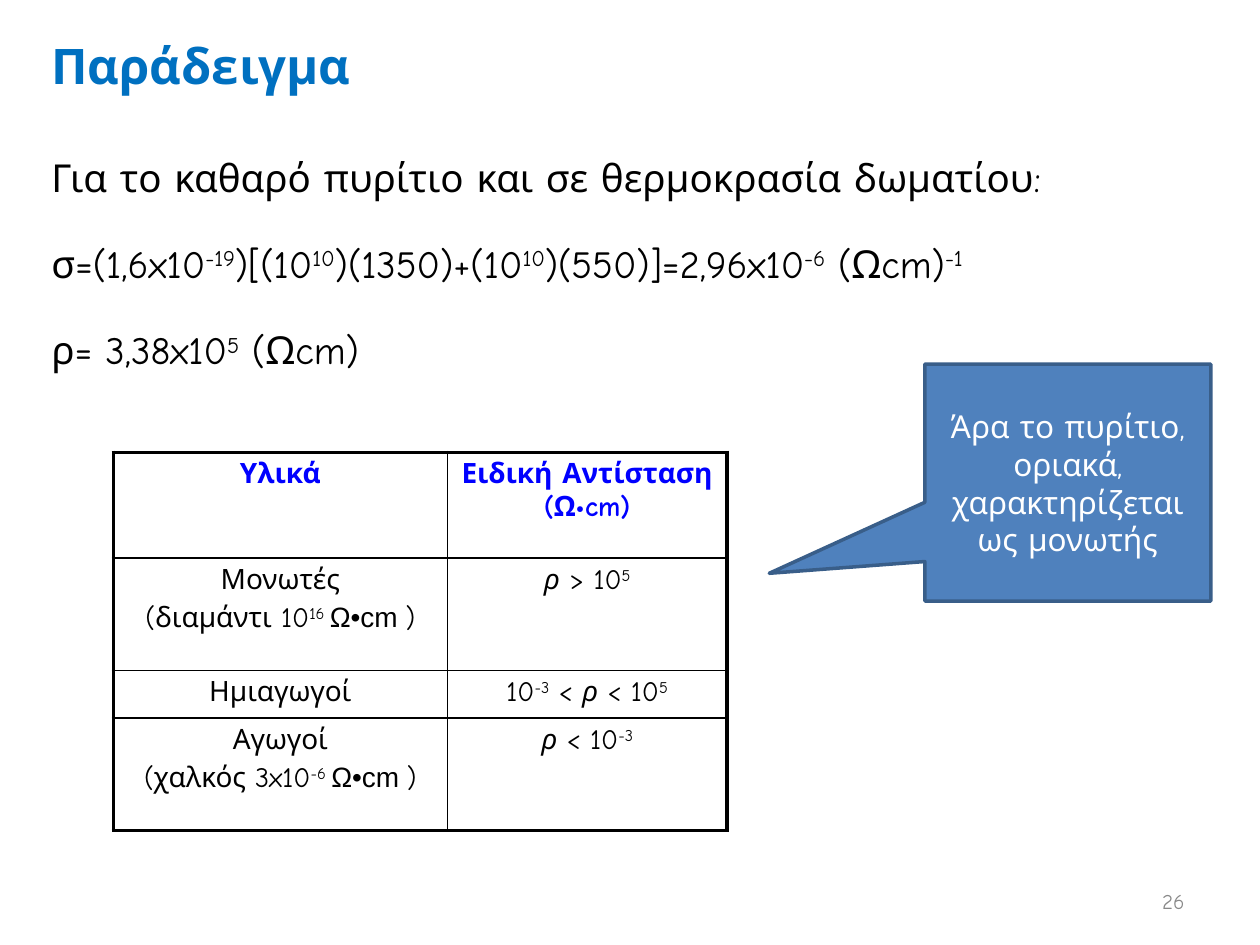
from lxml import etree
from pptx import Presentation, util as u
from pptx.dml.color import RGBColor
from pptx.enum import shapes, text
from pptx.oxml.ns import qn

FONT = "Comic Neue"
BLACK, WHITE, HEADER_BLUE = "000000", "FFFFFF", "0000FF"
RHO = ("ρ", {"italic": True})
UNIT = ("Ω•cm ", {"name": "Arial"})
LEFT, CENTER, RIGHT = text.PP_ALIGN.LEFT, text.PP_ALIGN.CENTER, text.PP_ALIGN.RIGHT

BODY = [
    ["Για το καθαρό πυρίτιο και σε θερμοκρασία δωματίου:"],
    ["σ=(1,6x10^-19^)[(10^10^)(1350)+(10^10^)(550)]=2,96x10^-6^ (Ωcm)^-1"],
    ["ρ= 3,38x10^5^ (Ωcm)"],
]
MATERIALS = [
    [[["Υλικά"]], [["Ειδική Αντίσταση (Ω•cm)"]]],
    [[["Μονωτές"], ["(διαμάντι 10^16 ", UNIT, ")"]], [[RHO, " > 10^5"]]],
    [[["Ημιαγωγοί"]], [["10^-3^ < ", RHO, " < 10^5"]]],
    [[["Αγωγοί"], ["(χαλκός 3x10^-6 ", UNIT, ")"]], [[RHO, " < 10^-3"]]],
]


def rgb(value):
    """Turn a hex string into a colour."""
    return RGBColor.from_string(value)


def inches(box):
    """Turn a box given in inches into lengths."""
    return [u.Inches(length) for length in box]


def add_run(paragraph, words, color, formats, raised):
    """Add one formatted run, as a superscript when raised."""
    run = paragraph.add_run()
    run.text = words
    run.font.color.rgb = rgb(color)
    for name, value in formats.items():
        setattr(run.font, name, value)
    if raised:
        run.font._element.set("baseline", "30000")


def write(frame, lines, size, color, align=LEFT, bold=False, gap=0):
    """Write lines of pieces, where ^ switches superscript on and off."""
    for index, pieces in enumerate(lines):
        paragraph = frame.add_paragraph() if index else frame.paragraphs[0]
        paragraph.alignment = align
        paragraph.space_before = u.Pt(gap if index else 0)
        for piece in pieces:
            words, extra = (piece, {}) if isinstance(piece, str) else piece
            formats = {"name": FONT, "size": u.Pt(size), "bold": bold, **extra}
            for part, chunk in enumerate(words.split("^")):
                if chunk:
                    add_run(paragraph, chunk, color, formats, part % 2)


def add_text(slide, box, lines, size, color, anchor=text.MSO_ANCHOR.TOP, **options):
    """Place a wrapping text box."""
    frame = slide.shapes.add_textbox(*inches(box)).text_frame
    frame.word_wrap = True
    frame.vertical_anchor = anchor
    write(frame, lines, size, color, **options)


def set_borders(cell, widths):
    """Draw the black borders of a cell from a dict of side and points."""
    properties = cell._tc.get_or_add_tcPr()
    for side, width in widths.items():
        line = etree.SubElement(properties, qn(f"a:ln{side}"), w=str(u.Pt(width)))
        fill = etree.SubElement(line, qn("a:solidFill"))
        etree.SubElement(fill, qn("a:srgbClr"), val=BLACK)


def add_materials_table(slide, box, column_widths, row_heights):
    """Place the resistivity table with a heavy outer frame."""
    last_row, last_column = len(row_heights) - 1, len(column_widths) - 1
    table = slide.shapes.add_table(last_row + 1, last_column + 1, *inches(box)).table
    table.first_row = table.horz_banding = False
    for column, width in zip(table.columns, column_widths):
        column.width = u.Inches(width)
    for row, height in zip(table.rows, row_heights):
        row.height = u.Inches(height)
    for r, row in enumerate(MATERIALS):
        for c, lines in enumerate(row):
            cell = table.cell(r, c)
            outer = {"L": c == 0, "R": c == last_column, "T": r == 0, "B": r == last_row}
            set_borders(cell, {side: 2.25 if edge else 1 for side, edge in outer.items()})
            cell.fill.background()
            write(cell.text_frame, lines, 16, BLACK if r else HEADER_BLUE,
                  align=CENTER, bold=r == 0, gap=3.2)


def add_callout(slide, box, lines):
    """Place the conclusion callout that points at the table."""
    shape = slide.shapes.add_shape(shapes.MSO_SHAPE.RECTANGULAR_CALLOUT, *inches(box))
    shape.shadow.inherit = False
    shape.adjustments[0], shape.adjustments[1] = -1.044, 0.383
    shape.fill.solid()
    shape.fill.fore_color.rgb = rgb("4F81BD")
    shape.line.color.rgb = rgb("395E89")
    shape.line.width = u.Pt(2)
    shape.text_frame.word_wrap = True
    shape.text_frame.vertical_anchor = text.MSO_ANCHOR.MIDDLE
    write(shape.text_frame, lines, 18, WHITE, align=CENTER)


def main():
    """Build and save the slide."""
    presentation = Presentation()
    presentation.slide_width, presentation.slide_height = inches((10, 7.5))
    slide = presentation.slides.add_slide(presentation.slide_layouts[6])
    add_text(slide, (7.17, 6.95, 2.33, 0.4), [["26"]], 12, "888888",
             anchor=text.MSO_ANCHOR.MIDDLE, align=RIGHT)
    add_text(slide, (0.31, 0.23, 5.23, 0.57), [["Παράδειγμα"]], 28, "0070C0", bold=True)
    add_text(slide, (0.31, 1.17, 9.38, 1.95), BODY, 22, BLACK, gap=23)
    add_materials_table(slide, (0.9, 3.59, 4.87, 3), (2.65, 2.22), (0.84, 0.89, 0.38, 0.89))
    add_callout(slide, (7.34, 2.89, 2.27, 1.88),
                [["Άρα το πυρίτιο, οριακά, χαρακτηρίζεται ως μονωτής"]])
    presentation.save("out.pptx")


if __name__ == "__main__":
    main()
